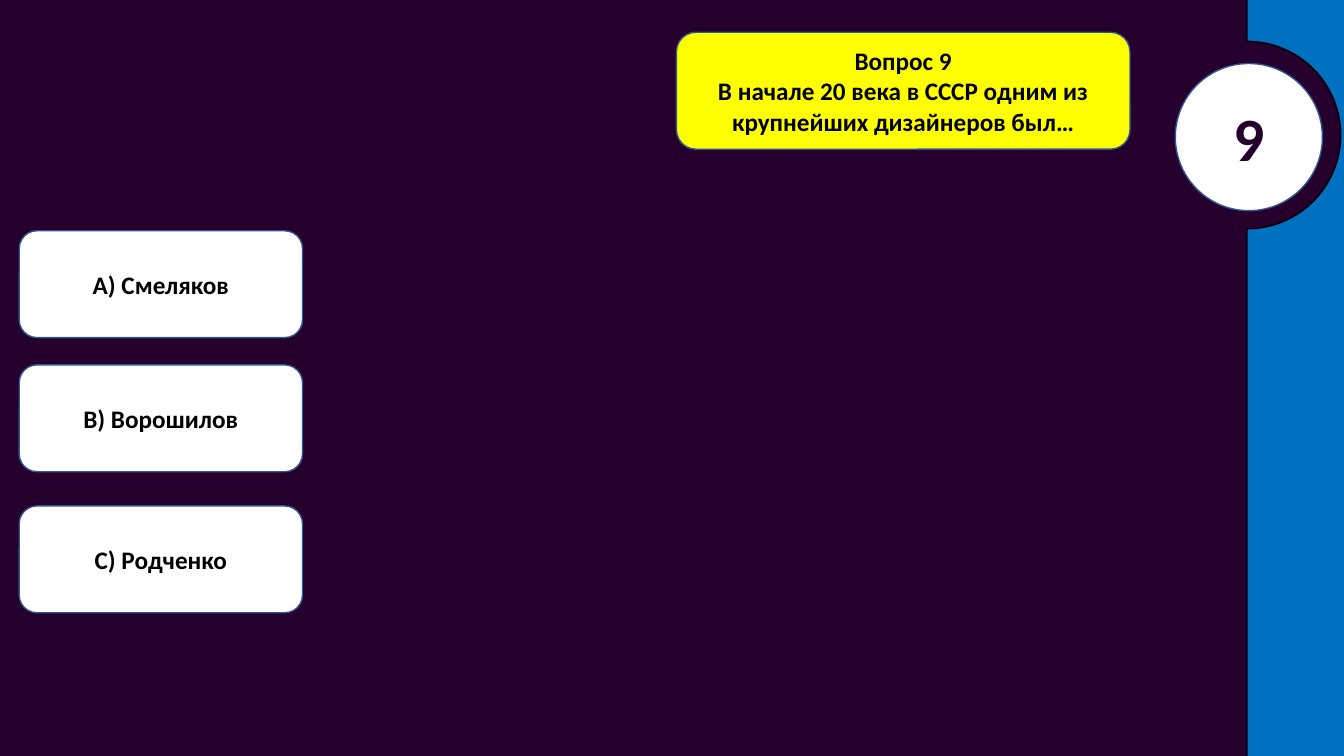
import math

import pptx
import pptx.dml.color
import pptx.enum.shapes
import pptx.enum.text
import pptx.util

RGBColor = pptx.dml.color.RGBColor
Shape = pptx.enum.shapes.MSO_SHAPE

PLUM = RGBColor(0x25, 0x00, 0x2D)
BLUE = RGBColor(0x00, 0x70, 0xC0)
OUTLINE = RGBColor(0x32, 0x54, 0x91)
YELLOW = RGBColor(0xFF, 0xFF, 0x00)
WHITE = RGBColor(0xFF, 0xFF, 0xFF)
BLACK = RGBColor(0x00, 0x00, 0x00)

deck = pptx.Presentation()
deck.slide_width = pptx.util.Inches(13.333)
deck.slide_height = pptx.util.Inches(7.5)
# Lengths are given in percent of the slide's width and height.
column = deck.slide_width / 100
row = deck.slide_height / 100

page = deck.slides.add_slide(deck.slide_layouts[6])
page.background.fill.solid()
page.background.fill.fore_color.rgb = PLUM


def paint(shape, fill, line):
    shape.shadow.inherit = False
    shape.fill.solid()
    shape.fill.fore_color.rgb = fill
    shape.line.color.rgb = line
    shape.line.width = pptx.util.Pt(1)


def add_label(text, left, top, width, height, kind=Shape.ROUNDED_RECTANGLE,
              fill=WHITE, size=18, color=BLACK):
    """Add a filled shape with bold centred text, one paragraph per line."""
    box = page.shapes.add_shape(
        kind, round(left * column), round(top * row),
        round(width * column), round(height * row))
    paint(box, fill, OUTLINE)
    frame = box.text_frame
    frame.word_wrap = True
    frame.vertical_anchor = pptx.enum.text.MSO_ANCHOR.MIDDLE
    frame.text = text
    for para in frame.paragraphs:
        para.alignment = pptx.enum.text.PP_ALIGN.CENTER
        for span in para.runs:
            span.font.name = "Calibri"
            span.font.size = pptx.util.Pt(size)
            span.font.bold = True
            span.font.color.rgb = color


# Blue side panel with a half-round notch for the number
panel_left, panel_right = 92.78 * column, 113.93 * column
panel_top, panel_bottom = -136.53 * row, 117.6 * row
notch_middle, notch_radius = 17.87 * row, 12.4 * row
notch = []
for degrees in range(90, -91, -3):
    angle = math.radians(degrees)
    notch.append((round(panel_left + notch_radius * math.cos(angle)),
                  round(notch_middle + notch_radius * math.sin(angle))))
outline = page.shapes.build_freeform(round(panel_right), round(panel_bottom))
outline.add_line_segments(
    [(round(panel_left), round(panel_bottom)), *notch,
     (round(panel_left), round(panel_top)),
     (round(panel_right), round(panel_top))], close=True)
paint(outline.convert_to_shape(), BLUE, BLACK)

add_label("9", 87.45, 8.4, 10.95, 19.47, kind=Shape.OVAL, size=44, color=PLUM)
add_label("Вопрос 9\nВ начале 20 века в СССР одним из крупнейших дизайнеров был…",
          50.33, 4.27, 33.75, 15.47, fill=YELLOW)

answers = {"А) Смеляков": 30.53, "В) Ворошилов": 48.27, "С) Родченко": 66.93}
for answer, top in answers.items():
    add_label(answer, 1.43, top, 21.08, 14.13)

deck.save("out.pptx")
